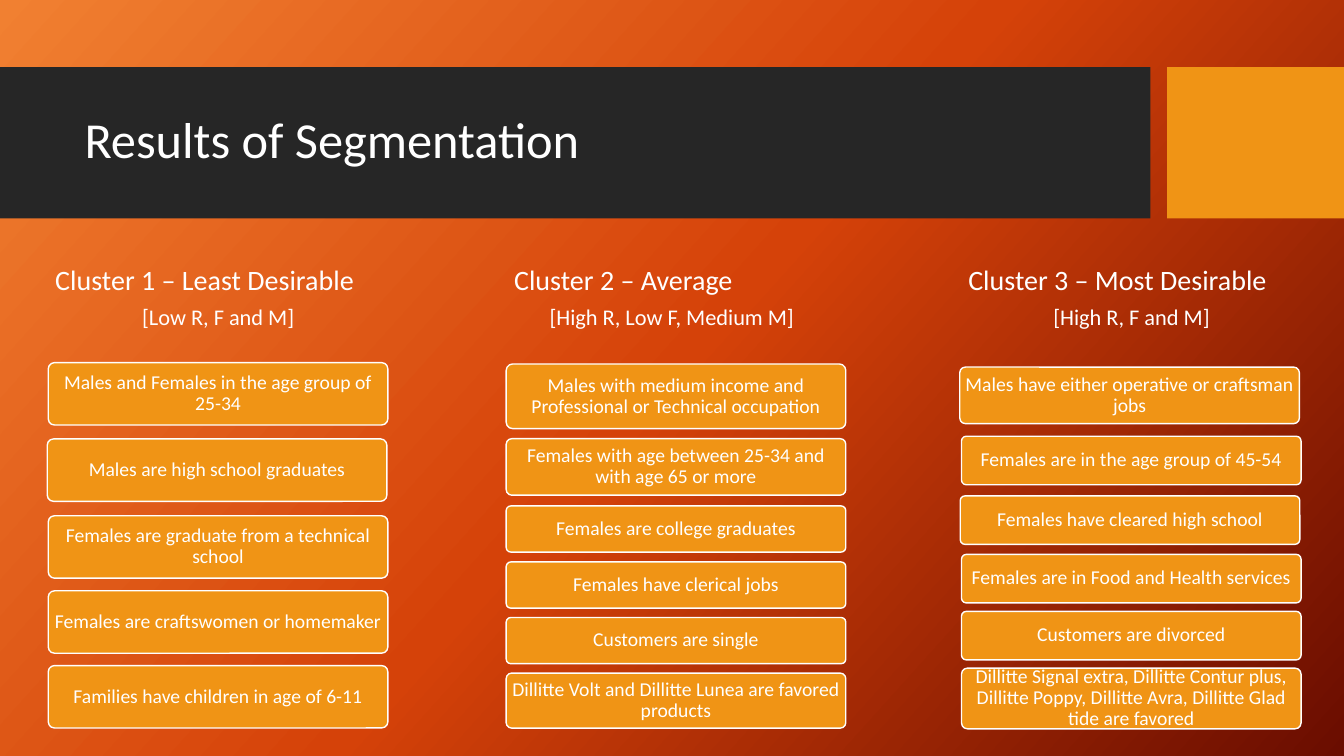
"""Build the slide on the results of customer segmentation."""
from copy import deepcopy
from dataclasses import dataclass

from pptx import Presentation
from pptx.dml.color import RGBColor
from pptx.enum.shapes import MSO_SHAPE
from pptx.enum.text import MSO_ANCHOR, PP_ALIGN
from pptx.oxml.ns import qn
from pptx.slide import Slide
from pptx.text.text import TextFrame, _Paragraph
from pptx.util import Pt

FONT = "Calibri"
WHITE = "FFFFFF"
ORANGE = "F09415"
CHARCOAL = "262626"
BACKGROUND = [(0, "F18031"), (0.5, "D54209"), (1, "6A0D00")]
CARD_WIDTH = 242.6
HEADING_TOP, HEADING_WIDTH, HEADING_HEIGHT = 155.5, 303.1, 115.2


@dataclass
class Card:
    text: str
    top: float
    height: float
    shift: float = 0


@dataclass
class Cluster:
    title: str
    scores: str
    heading_left: float
    title_indent: float
    card_left: float
    cards: list[Card]


CLUSTERS = [
    Cluster("Cluster 1 – Least Desirable", "[Low R, F and M]", 4.3, 29.5, 34.5, [
        Card("Males and Females in the age group of 25-34", 259, 44.6),
        Card("Males are high school graduates", 313.5, 44.6, -0.7),
        Card("Females are graduate from a technical school", 368.4, 44.6),
        Card("Females are craftswomen or homemaker", 422, 44.6),
        Card("Families have children in age of 6-11", 475.4, 44.6),
    ]),
    Cluster("Cluster 2 – Average", "[High R, Low F, Medium M]", 328.3, 33.3, 361.6, [
        Card("Males with medium income and Professional or Technical occupation", 260, 46.2),
        Card("Females with age between 25-34 and with age 65 or more", 313.3, 40.4),
        Card("Females are college graduates", 361.4, 33),
        Card("Females have clerical jobs", 401.4, 33),
        Card("Customers are single", 441.1, 33),
        Card("Dillitte Volt and Dillitte Lunea are favored products", 480.8, 39.3),
    ]),
    Cluster("Cluster 3 – Most Desirable", "[High R, F and M]", 656.7, 29.3, 686.8, [
        Card("Males have either operative or craftsman jobs", 262.2, 40.4, -1.2),
        Card("Females are in the age group of 45-54", 311.6, 34.7),
        Card("Females have cleared high school", 354.2, 34.7, -0.9),
        Card("Females are in Food and Health services", 396, 34.7),
        Card("Customers are divorced", 436.7, 34.7),
        Card("Dillitte Signal extra, Dillitte Contur plus, Dillitte Poppy, "
             "Dillitte Avra, Dillitte Glad tide are favored", 477.2, 43.4),
    ]),
]


def rgb(color: str) -> RGBColor:
    """Turn a hex string into a colour."""
    return RGBColor.from_string(color)


def paint_background(s: Slide) -> None:
    """Fill the slide with a diagonal gradient of three colours."""
    fill = s.background.fill
    fill.gradient()
    fill.gradient_angle = 318
    stops = s.element.find(".//" + qn("a:gsLst"))
    stops.append(deepcopy(stops[-1]))
    for stop, (position, color) in zip(fill.gradient_stops, BACKGROUND):
        stop.position = position
        stop.color.rgb = rgb(color)


def set_frame(tf: TextFrame, horizontal: float, vertical: float) -> None:
    """Wrap, centre vertically and set the margins."""
    tf.word_wrap = True
    tf.vertical_anchor = MSO_ANCHOR.MIDDLE
    tf.margin_left = tf.margin_right = Pt(horizontal)
    tf.margin_top = tf.margin_bottom = Pt(vertical)


def add_run(p: _Paragraph, text: str, size: float, align: PP_ALIGN) -> None:
    """Add one white run to an aligned paragraph."""
    p.alignment = align
    p.line_spacing = 0.9
    r = p.add_run()
    r.text = text
    r.font.name = FONT
    r.font.size = Pt(size)
    r.font.color.rgb = rgb(WHITE)


def add_band(s: Slide, left: float, width: float, color: str) -> None:
    """Draw a block of the title band."""
    sp = s.shapes.add_shape(MSO_SHAPE.RECTANGLE, Pt(left), Pt(48), Pt(width), Pt(108))
    sp.shadow.inherit = False
    sp.fill.solid()
    sp.fill.fore_color.rgb = rgb(color)
    sp.line.fill.background()


def add_title(s: Slide, text: str) -> None:
    """Write the slide title."""
    sp = s.shapes.add_textbox(Pt(53.3), Pt(59), Pt(756.7), Pt(85))
    set_frame(sp.text_frame, 7.2, 3.6)
    add_run(sp.text_frame.paragraphs[0], text, 36, PP_ALIGN.LEFT)


def add_heading(s: Slide, cluster: Cluster) -> None:
    """Write the title and scores of a cluster."""
    sp = s.shapes.add_textbox(Pt(cluster.heading_left), Pt(HEADING_TOP),
                              Pt(HEADING_WIDTH), Pt(HEADING_HEIGHT))
    tf = sp.text_frame
    set_frame(tf, 5.6, 5.6)
    p = tf.paragraphs[0]
    add_run(p, cluster.title, 20, PP_ALIGN.LEFT)
    p.space_after = Pt(7)
    p._p.get_or_add_pPr().set("marL", str(Pt(cluster.title_indent)))
    add_run(tf.add_paragraph(), cluster.scores, 16, PP_ALIGN.CENTER)


def add_card(s: Slide, left: float, card: Card) -> None:
    """Draw one rounded card with its text."""
    sp = s.shapes.add_shape(MSO_SHAPE.ROUNDED_RECTANGLE, Pt(left + card.shift),
                            Pt(card.top), Pt(CARD_WIDTH), Pt(card.height))
    sp.adjustments[0] = 0.1
    sp.shadow.inherit = False
    sp.fill.solid()
    sp.fill.fore_color.rgb = rgb(ORANGE)
    sp.line.color.rgb = rgb(WHITE)
    sp.line.width = Pt(1)
    set_frame(sp.text_frame, 2.8, 2.1)
    add_run(sp.text_frame.paragraphs[0], card.text, 14, PP_ALIGN.CENTER)


def main() -> None:
    """Build and save the slide."""
    prs = Presentation()
    prs.slide_width, prs.slide_height = Pt(960), Pt(540)
    s = prs.slides.add_slide(prs.slide_layouts[6])
    paint_background(s)
    add_band(s, 0, 821.8, CHARCOAL)
    add_band(s, 833.6, 126.4, ORANGE)
    add_title(s, "Results of Segmentation")
    for cluster in CLUSTERS:
        add_heading(s, cluster)
        for card in cluster.cards:
            add_card(s, cluster.card_left, card)
    prs.save("out.pptx")


if __name__ == "__main__":
    main()
